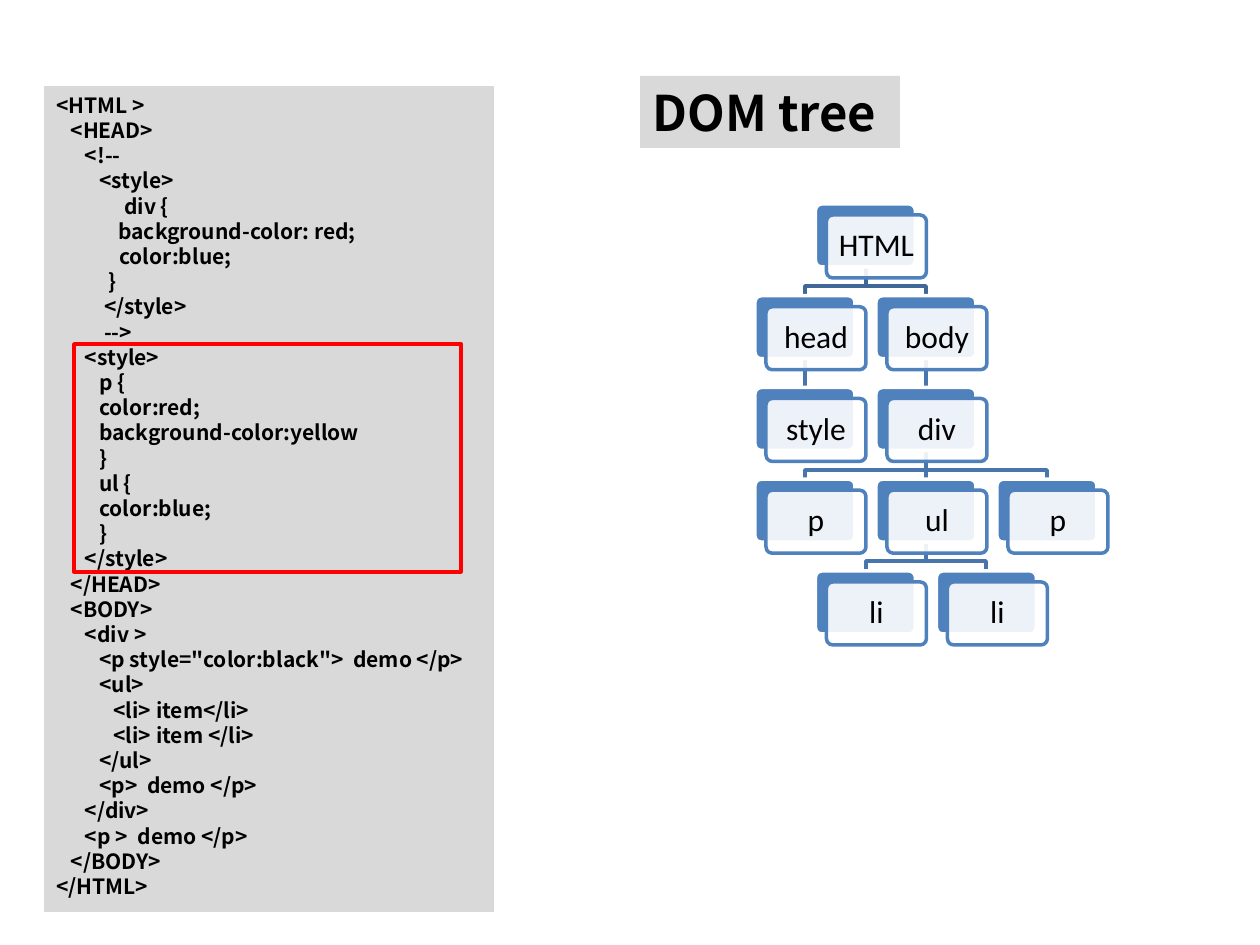
from dataclasses import dataclass

from lxml.etree import SubElement
from pptx import Presentation
from pptx.dml.color import RGBColor
from pptx.enum.shapes import MSO_CONNECTOR, MSO_SHAPE
from pptx.enum.text import MSO_ANCHOR, MSO_AUTO_SIZE, PP_ALIGN
from pptx.oxml.ns import qn
from pptx.util import Inches, Pt

PX = Inches(1) / 126


@dataclass(frozen=True)
class Theme:
    panel: str = "D9D9D9"
    text: str = "000000"
    node: str = "4F81BD"
    white: str = "FFFFFF"
    root_edge: str = "3F6797"
    edge: str = "4875AC"
    mark: str = "FF0000"
    heading_font: str = "Noto Sans CJK SC"
    node_font: str = "Calibri"
    title_size: int = 28
    node_size: int = 18
    code_size: int = 12
    line_width: int = 2


T = Theme()
CODE_FORMAT = {"name": T.heading_font, "size": Pt(T.code_size), "bold": True}
TITLE_FORMAT = {"name": T.heading_font, "size": Pt(T.title_size), "bold": True}
NODE_FORMAT = {"name": T.node_font, "size": Pt(T.node_size), "bold": False}
TOP_LEFT = {"word_wrap": True, "auto_size": MSO_AUTO_SIZE.NONE,
            "vertical_anchor": MSO_ANCHOR.TOP}
CENTRED = {"word_wrap": False, "vertical_anchor": MSO_ANCHOR.MIDDLE}

CODE = """<HTML >
   <HEAD>
      <!--
         <style>
             \t div {
             background-color: red;
         \tcolor:blue;
           }
          </style>
          -->
      <style>
         p {
         color:red;
         background-color:yellow
         }
         ul {
         color:blue;
         }
      </style>
   </HEAD>
   <BODY>
      <div >
         <p style="color:black">  demo </p>
         <ul>
            <li> item</li>
            <li> item </li>
         </ul>
         <p>  demo </p>
      </div>
      <p >  demo </p>
   </BODY>
</HTML>"""

NODES = [("HTML", 0.5, 0), ("head", 0, 1), ("body", 1, 1), ("style", 0, 2),
         ("div", 1, 2), ("p", 0, 3), ("ul", 1, 3), ("p", 2, 3),
         ("li", 0.5, 4), ("li", 1.5, 4)]
EDGES = [(0, 1), (0, 2), (1, 3), (2, 4), (4, 5), (4, 6), (4, 7), (6, 8), (6, 9)]
NODE_W, NODE_H, OFFSET, ELBOW = 100, 63, 11, 19


def emu(*lengths):
    return [round(v * PX) for v in lengths]


def apply(obj, values):
    for name, value in values.items():
        setattr(obj, name, value)


def paint(fill, color):
    fill.solid()
    fill.fore_color.rgb = RGBColor.from_string(color)


def outline(line, color):
    line.width = Pt(T.line_width)
    paint(line.fill, color)


def add_box(shapes, kind, box, fill=None, line=None):
    sp = shapes.add_shape(kind, *emu(*box))
    sp.shadow.inherit = False
    if fill:
        paint(sp.fill, fill)
    else:
        sp.fill.background()
    if line:
        outline(sp.line, line)
    else:
        sp.line.fill.background()
    return sp


def write(tf, lines, font, frame, align):
    apply(tf, frame)
    for i, text in enumerate(lines):
        p = tf.add_paragraph() if i else tf.paragraphs[0]
        p.alignment = align
        r = p.add_run()
        r.text = text
        apply(r.font, font)
        r.font.color.rgb = RGBColor.from_string(T.text)


def add_title(s, box):
    sp = s.shapes.title
    apply(sp, dict(zip(("left", "top", "width", "height"), emu(*box))))
    paint(sp.fill, T.panel)
    write(sp.text_frame, ["DOM tree"], TITLE_FORMAT, TOP_LEFT, PP_ALIGN.LEFT)


def add_code(s, box):
    x, y, w, h = box
    sp = add_box(s.shapes, MSO_SHAPE.RECTANGLE, box, T.panel)
    write(sp.text_frame, CODE.split("\n"), CODE_FORMAT, TOP_LEFT, PP_ALIGN.LEFT)
    add_box(s.shapes, MSO_SHAPE.RECTANGLE, (x + 30, y + 258, w - 63, 228), line=T.mark)


def add_node(shapes, text, x, y):
    back = add_box(shapes, MSO_SHAPE.ROUNDED_RECTANGLE, (x, y, NODE_W, NODE_H),
                   T.node, T.white)
    front = add_box(shapes, MSO_SHAPE.ROUNDED_RECTANGLE,
                    (x + OFFSET, y + OFFSET, NODE_W, NODE_H), T.white, T.node)
    for sp in (back, front):
        sp.adjustments[0] = 0.1
    color = front.fill._xPr.find(qn("a:solidFill"))[0]
    SubElement(color, qn("a:alpha"), val="90000")
    write(front.text_frame, [text], NODE_FORMAT, CENTRED, PP_ALIGN.CENTER)
    front.text_frame.paragraphs[0].line_spacing = 0.9
    return back


def add_edge(shapes, parent, child, start, end, color):
    (x1, y1), (x2, y2) = start, end
    if x1 == x2:
        edge = shapes.add_connector(MSO_CONNECTOR.STRAIGHT, *emu(x1, y1, x2, y2))
        edge.begin_connect(parent, 2)
        edge.end_connect(child, 0)
        outline(edge.line, color)
        SubElement(edge.element.spPr, qn("a:effectLst"))
    else:
        path = shapes.build_freeform(x1, y1, scale=PX)
        path.add_line_segments([(x1, y1 + ELBOW), (x2, y1 + ELBOW), (x2, y2)], close=False)
        edge = path.convert_to_shape()
        edge.shadow.inherit = False
        edge.fill.background()
        outline(edge.line, color)
    edge.element.getparent().insert(2, edge.element)


def add_tree(s, box):
    x, y, w, h = box
    step_x = (w - NODE_W - OFFSET) / max(col for _, col, _ in NODES)
    step_y = (h - NODE_H - OFFSET) / max(row for _, _, row in NODES)
    shapes = s.shapes.add_group_shape().shapes
    spots = [(x + col * step_x, y + row * step_y) for _, col, row in NODES]
    backs = [add_node(shapes, text, *spot) for (text, _, _), spot in zip(NODES, spots)]
    for a, b in EDGES:
        (ax, ay), (bx, by) = spots[a], spots[b]
        add_edge(shapes, backs[a], backs[b], (ax + NODE_W / 2, ay + NODE_H),
                 (bx + NODE_W / 2, by), T.edge if a else T.root_edge)


def main():
    prs = Presentation()
    prs.slide_width, prs.slide_height = Inches(10), Inches(7.5)
    s = prs.slides.add_slide(prs.slide_layouts[5])
    add_code(s, (44, 86, 450, 826))
    add_tree(s, (755, 204, 353, 441))
    add_title(s, (640, 76, 260, 72))
    prs.save("out.pptx")


if __name__ == "__main__":
    main()
